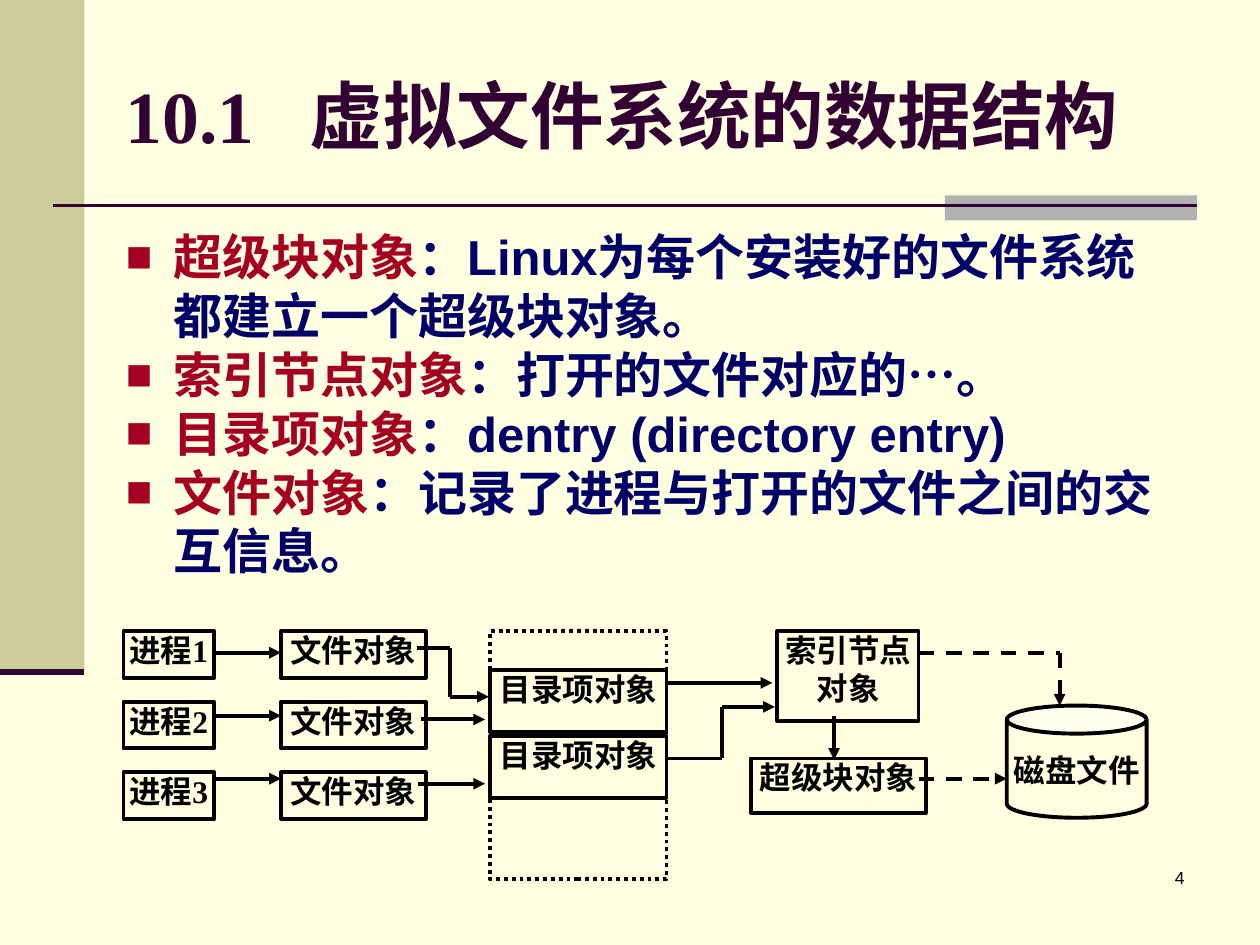
from dataclasses import dataclass
from itertools import pairwise
from typing import Any, Optional

from lxml.etree import SubElement
from pptx import Presentation
from pptx.dml.color import RGBColor
from pptx.enum.dml import MSO_LINE_DASH_STYLE as Dash
from pptx.enum.lang import MSO_LANGUAGE_ID as Language
from pptx.enum.shapes import MSO_CONNECTOR as Connector, MSO_SHAPE as Preset
from pptx.enum.text import MSO_ANCHOR as Anchor, PP_ALIGN as Align
from pptx.oxml.ns import qn
from pptx.util import Inches, Pt

COLUMNS, ROWS = 100, 75
PAPER, INK, PLUM, KHAKI = "FFFFE1", "000000", "330033", "CCCC99"
SILVER, CRIMSON, NAVY = "B2B2B2", "A50021", "000066"
SERIF, SANS = "Times New Roman", "Arial"
OUTLINE = 2.25
INDENT = Inches(0.38)

presentation = Presentation()
presentation.slide_width, presentation.slide_height = Inches(10), Inches(7.5)
slide = presentation.slides.add_slide(presentation.slide_layouts[6])


@dataclass(frozen=True)
class Area:
    column: float
    row: float
    columns: float
    rows: float


@dataclass(frozen=True)
class Box:
    area: Area
    lines: tuple[str, ...] = ()
    fill: Optional[str] = PAPER
    outline: Optional[str] = INK
    dash: Optional[Dash] = None
    preset: Preset = Preset.RECTANGLE


@dataclass(frozen=True)
class Route:
    points: tuple[tuple[float, float], ...]
    dash: Optional[Dash] = None
    arrow: bool = True
    colour: str = INK
    width: float = OUTLINE


def rgb(value: str) -> RGBColor:
    return RGBColor.from_string(value)


def across(columns: float) -> int:
    return round(presentation.slide_width * columns / COLUMNS)


def down(rows: float) -> int:
    return round(presentation.slide_height * rows / ROWS)


def place(area: Area) -> tuple[int, int, int, int]:
    return across(area.column), down(area.row), across(area.columns), down(area.rows)


def apply(target: Any, formats: dict[str, Any]) -> None:
    for name, value in formats.items():
        setattr(target, name, value)


def add_run(paragraph: Any, text: str, size: float, name: str, colour: str, bold: bool = True) -> None:
    run = paragraph.add_run()
    run.text = text
    apply(run.font, {"size": Pt(size), "name": name, "bold": bold,
                     "language_id": Language.SIMPLIFIED_CHINESE})
    run.font.color.rgb = rgb(colour)


def add_text_frame(area: Area, anchor: Anchor = Anchor.TOP) -> Any:
    frame = slide.shapes.add_textbox(*place(area)).text_frame
    apply(frame, {"word_wrap": True, "vertical_anchor": anchor})
    return frame


def add_tab(paragraph: Any, position: int) -> None:
    tabs = SubElement(paragraph._p.get_or_add_pPr(), qn("a:tabLst"))
    SubElement(tabs, qn("a:tab"), pos=str(position), algn="l")


def add_bullet(paragraph: Any) -> None:
    properties = paragraph._p.get_or_add_pPr()
    apply(properties, {"algn": Align.LEFT})
    properties.set("marL", str(INDENT))
    properties.set("indent", str(-INDENT))
    colour = SubElement(properties, qn("a:buClr"))
    SubElement(colour, qn("a:srgbClr"), val=CRIMSON)
    SubElement(properties, qn("a:buSzPct"), val="90000")
    SubElement(properties, qn("a:buFont"), typeface=SANS)
    SubElement(properties, qn("a:buChar"), char="■")


def draw_box(box: Box) -> None:
    shape = slide.shapes.add_shape(box.preset, *place(box.area))
    shape.shadow.inherit = False
    if box.fill:
        shape.fill.solid()
        shape.fill.fore_color.rgb = rgb(box.fill)
    else:
        shape.fill.background()
    if box.outline:
        shape.line.color.rgb = rgb(box.outline)
        apply(shape.line, {"width": Pt(OUTLINE), "dash_style": box.dash})
    else:
        shape.line.fill.background()
    frame = shape.text_frame
    apply(frame, {"margin_left": 0, "margin_right": 0, "margin_top": 0, "margin_bottom": 0,
                  "word_wrap": False, "vertical_anchor": Anchor.TOP})
    for index, line in enumerate(box.lines):
        paragraph = frame.add_paragraph() if index else frame.paragraphs[0]
        paragraph.alignment = Align.CENTER
        add_run(paragraph, line, 18, SERIF, INK)


def draw_route(route: Route) -> None:
    for start, end in pairwise(route.points):
        connector = slide.shapes.add_connector(
            Connector.STRAIGHT, across(start[0]), down(start[1]), across(end[0]), down(end[1]))
        connector.line.color.rgb = rgb(route.colour)
        apply(connector.line, {"width": Pt(route.width), "dash_style": route.dash})
        if route.arrow and end == route.points[-1]:
            SubElement(connector.line._get_or_add_ln(), qn("a:tailEnd"), type="triangle")
        SubElement(connector._element.spPr, qn("a:effectLst"))


def draw_frame() -> None:
    background = slide.background.fill
    background.solid()
    background.fore_color.rgb = rgb(PAPER)
    draw_box(Box(Area(0, 0, 6.7, 53.3), fill=KHAKI, outline=None))
    draw_box(Box(Area(75, 15.5, 20, 2), fill=SILVER, outline=None))
    draw_route(Route(((4.2, 16.3), (95, 16.3)), arrow=False, colour=PLUM, width=1.5))
    draw_route(Route(((0, 53.3), (6.7, 53.3)), arrow=False, colour=PLUM, width=3.5))


def draw_text() -> None:
    number = add_text_frame(Area(74.2, 68.3, 20.8, 5)).paragraphs[0]
    number.alignment = Align.RIGHT
    add_run(number, "4", 10, SANS, INK, bold=False)
    title = add_text_frame(Area(9, 2.8, 85, 12.5), Anchor.MIDDLE).paragraphs[0]
    add_tab(title, across(14.6))
    add_run(title, "10.1\t虚拟文件系统的数据结构", 42, SERIF, PLUM)
    definitions = {
        "超级块对象": "：Linux为每个安装好的文件系统都建立一个超级块对象。",
        "索引节点对象": "：打开的文件对应的…。",
        "目录项对象": "：dentry (directory entry)",
        "文件对象": "：记录了进程与打开的文件之间的交互信息。",
    }
    body = add_text_frame(Area(9, 17.5, 86, 31.8))
    for index, (term, meaning) in enumerate(definitions.items()):
        paragraph = body.add_paragraph() if index else body.paragraphs[0]
        add_bullet(paragraph)
        add_run(paragraph, term, 28, SANS, CRIMSON)
        add_run(paragraph, meaning, 28, SANS, NAVY)


def draw_diagram() -> None:
    top, pitch = 50.1, 5.6
    boxes = [Box(Area(38.9, top, 14, 19.7), dash=Dash.ROUND_DOT)]
    for index in range(3):
        row = top + index * pitch
        boxes.append(Box(Area(9.8, row, 7.2, 3.7), (f"进程{index + 1}",)))
        boxes.append(Box(Area(22.3, row, 11.5, 3.7), ("文件对象",)))
    boxes += [Box(Area(38.9, row, 14, 4.9), ("目录项对象",)) for row in (53.2, 58.4)]
    boxes += [
        Box(Area(61.7, top, 11.2, 7.1), ("索引节点", "对象")),
        Box(Area(59.6, 60.2, 13.9, 4.3), ("超级块对象",)),
        Box(Area(79.9, 56, 11.1, 8.9), preset=Preset.CAN),
        Box(Area(79.9, 59.6, 11.1, 3.5), ("磁盘文件",), fill=None, outline=None),
    ]
    routes = [Route(((16.9, row), (22.3, row))) for row in (51.8, 56.8, 61.8)]
    routes += [
        Route(((33.1, 51.4), (35.7, 51.4), (35.7, 55.3), (38.8, 55.3))),
        Route(((33.4, 57.1), (38.5, 57.1))),
        Route(((33.2, 62.2), (38.5, 62.2))),
        Route(((52.8, 54.2), (61.3, 54.2))),
        Route(((52.8, 60.2), (57.3, 60.2), (57.3, 56.1), (61.5, 56.1))),
        Route(((66.2, 56.8), (66.2, 60.3))),
        Route(((72.9, 61.8), (79.9, 61.8)), Dash.DASH),
        Route(((72.9, 51.8), (84.1, 51.8), (84.1, 56)), Dash.DASH),
    ]
    for box in boxes:
        draw_box(box)
    for route in routes:
        draw_route(route)


if __name__ == "__main__":
    draw_frame()
    draw_text()
    draw_diagram()
    presentation.save("out.pptx")
